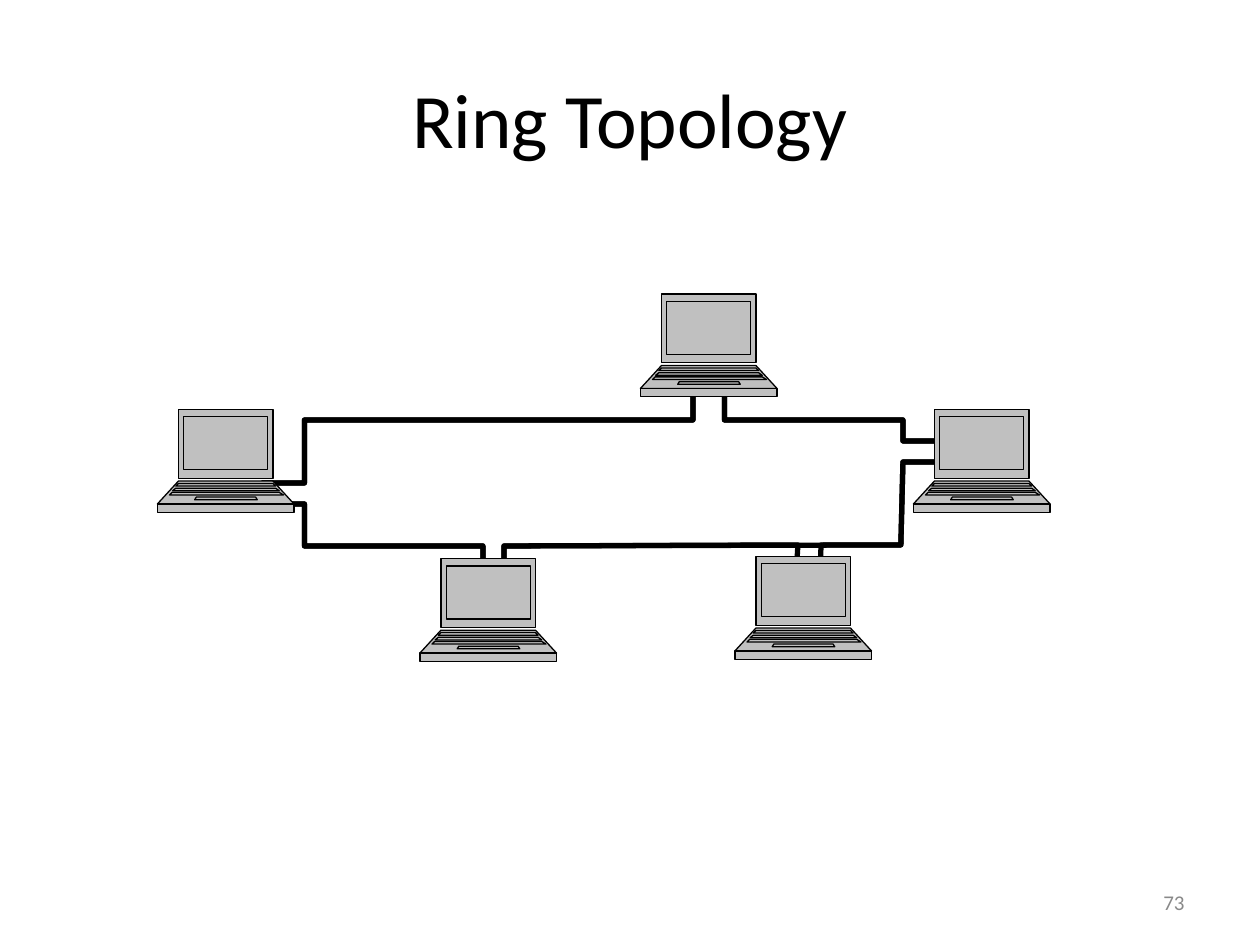
from copy import deepcopy

from pptx import Presentation
from pptx.dml.color import RGBColor
from pptx.enum.text import MSO_ANCHOR, PP_ALIGN
from pptx.oxml.ns import qn
from pptx.util import Inches, Pt

MIDDLE = MSO_ANCHOR.MIDDLE
CENTER, RIGHT = PP_ALIGN.CENTER, PP_ALIGN.RIGHT

FONT = "Calibri"
COLORS = {"ink": "000000", "laptop": "C0C0C0", "number": "898989"}

SLIDE_WIDTH, SLIDE_HEIGHT = Inches(10), Inches(7.5)
COLUMNS = 120
CELL = SLIDE_WIDTH / COLUMNS

LAPTOPS = [(61, 28), (87, 39), (15, 39), (40, 53.2), (70, 53)]

# top, bottom, top left, top right, bottom left, bottom right
LAPTOP_PARTS = [
    (0, 6.55, 2, 11, 2, 11),
    (6.82, 9, 2, 11, 0, 13),
    (9, 9.8, 0, 13, 0, 13),
    (0.7, 5.75, 2.5, 10.5, 2.5, 10.5),
    (7.05, 7.3, 2, 11, 1.75, 11.25),
    (8.35, 8.6, 3.7, 9.35, 3.55, 9.5),
    (7.5, 7.75, 1.75, 11.25, 1.45, 11.6),
    (7.9, 8.15, 1.4, 11.6, 1.15, 12),
]

RING_START = [
    (46, 56), (46, 52), (29, 52), (29, 48), (25, 48), (25, 46),
    (29, 46), (29, 40), (66, 40), (66, 36), (69, 36), (69, 40),
    (86, 40), (86, 42), (90, 42), (90, 44), (86, 44), (85.8, 51.9),
]
RING_DROP = [(78.2, 51.9), (78.1, 55.1), (75.8, 55.1), (76, 51.9)]
RING_END = [(48, 52), (48, 56)]


def color(name):
    return RGBColor.from_string(COLORS[name])


def cells(points, left=0, top=0):
    return [(round((left + x) * CELL), round((top + y) * CELL)) for x, y in points]


def add_label(slide, box, text, size, color_name, alignment):
    left, top, width, height = box
    shape = slide.shapes.add_textbox(
        round(left * SLIDE_WIDTH), round(top * SLIDE_HEIGHT),
        round(width * SLIDE_WIDTH), round(height * SLIDE_HEIGHT))
    frame = shape.text_frame
    frame.word_wrap = True
    frame.vertical_anchor = MIDDLE
    paragraph = frame.paragraphs[0]
    paragraph.text = text
    paragraph.alignment = alignment
    paragraph.font.name = FONT
    paragraph.font.size = Pt(size)
    paragraph.font.color.rgb = color(color_name)


def add_outline(slide, contours, line_width, closed):
    builder = slide.shapes.build_freeform(*contours[0][0])
    for index, contour in enumerate(contours):
        if index:
            builder.move_to(*contour[0])
        builder.add_line_segments(contour[1:], close=closed)
    shape = builder.convert_to_shape()
    shape.shadow.inherit = False
    shape.line.color.rgb = color("ink")
    shape.line.width = Pt(line_width)
    return shape


def separate_contours(shape):
    combined = next(shape.element.iter(qn("a:path")))
    path_list = combined.getparent()
    empty = deepcopy(combined)
    for step in list(empty):
        empty.remove(step)
    for step in list(combined):
        if step.tag == qn("a:moveTo"):
            contour = deepcopy(empty)
            path_list.append(contour)
        contour.append(step)
    path_list.remove(combined)


def add_cable(slide, points):
    shape = add_outline(slide, [cells(points)], 3, closed=False)
    shape.fill.background()


def add_laptop(slide, left, top):
    contours = [
        cells([(top_left, upper), (top_right, upper),
               (bottom_right, lower), (bottom_left, lower)], left, top)
        for upper, lower, top_left, top_right, bottom_left, bottom_right in LAPTOP_PARTS
    ]
    shape = add_outline(slide, contours, 0.75, closed=True)
    shape.fill.solid()
    shape.fill.fore_color.rgb = color("laptop")
    separate_contours(shape)


def add_ring(slide):
    for drop in (RING_DROP, []):
        add_cable(slide, RING_START + drop + RING_END)
    for left, top in LAPTOPS:
        add_laptop(slide, left, top)


def main():
    presentation = Presentation()
    presentation.slide_width = SLIDE_WIDTH
    presentation.slide_height = SLIDE_HEIGHT
    slide = presentation.slides.add_slide(presentation.slide_layouts[6])
    add_label(slide, (0.72, 0.93, 0.23, 0.05), "73", 12, "number", RIGHT)
    add_label(slide, (0.05, 0.04, 0.9, 0.17), "Ring Topology", 44, "ink", CENTER)
    add_ring(slide)
    presentation.save("out.pptx")


if __name__ == "__main__":
    main()
